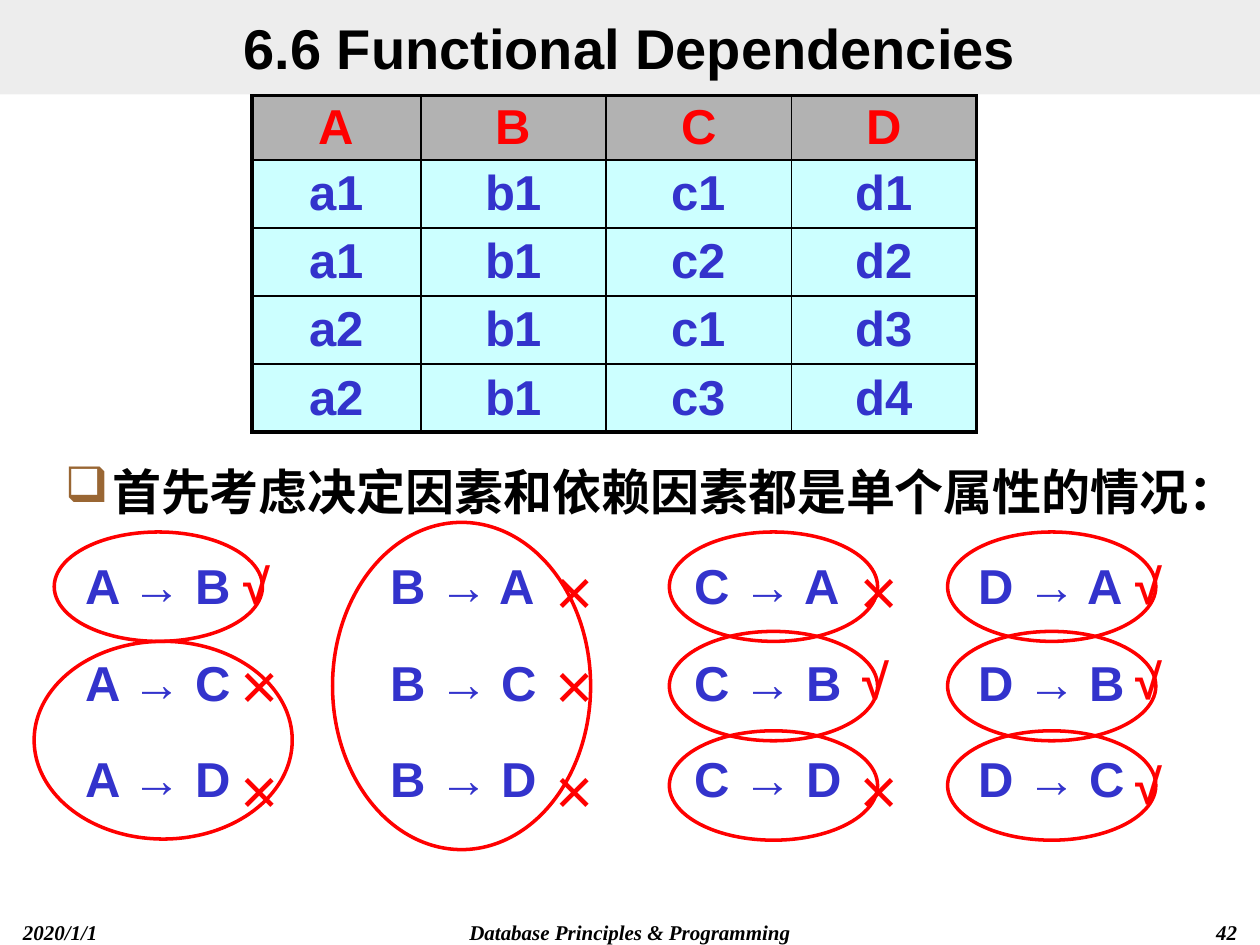
import pptx
import pptx.dml.color
import pptx.enum.shapes
import pptx.enum.text
import pptx.oxml
import pptx.oxml.ns
import pptx.util

Pt = pptx.util.Pt
ALIGN = pptx.enum.text.PP_ALIGN
MIDDLE = pptx.enum.text.MSO_ANCHOR.MIDDLE
SHAPES = pptx.enum.shapes.MSO_SHAPE
NAMESPACE = pptx.oxml.ns.nsdecls("a")
COLORS = {
    "black": "000000",
    "white": "FFFFFF",
    "band": "DDDDDD",
    "header": "B2B2B2",
    "cell": "CCFFFF",
    "blue": "3333CC",
    "red": "FF0000",
    "bullet": "996633",
}


def color(name):
    return pptx.dml.color.RGBColor.from_string(COLORS[name])


class SlideBuilder:
    def __init__(self, presentation):
        self.slide = presentation.slides.add_slide(presentation.slide_layouts[5])
        self.sans = "Arial"
        self.serif = "Times New Roman"

    def fill(self, item, name):
        item.fill.solid()
        item.fill.fore_color.rgb = color(name)

    def add_text(self, paragraph, text, size, color_name, align=ALIGN.LEFT, font=None, italic=False):
        paragraph.alignment = align
        run = paragraph.add_run()
        run.text = text
        run.font.name = font or self.sans
        run.font.size = Pt(size)
        run.font.bold = True
        run.font.italic = italic
        run.font.color.rgb = color(color_name)

    def title(self, text, left, top, width, height):
        shape = self.slide.shapes.title
        shape.left, shape.top, shape.width, shape.height = map(Pt, (left, top, width, height))
        self.fill(shape, "band")
        tint = shape._element.spPr.find(".//" + pptx.oxml.ns.qn("a:srgbClr"))
        tint.append(pptx.oxml.parse_xml(f'<a:alpha {NAMESPACE} val="50000"/>'))
        frame = shape.text_frame
        frame.auto_size = pptx.enum.text.MSO_AUTO_SIZE.NONE
        frame.vertical_anchor = MIDDLE
        frame.margin_top = frame.margin_bottom = 0
        self.add_text(frame.paragraphs[0], text, 32, "black", ALIGN.CENTER)

    def text(self, text, left, top, width, height, size, color_name, **style):
        shape = self.slide.shapes.add_textbox(*map(Pt, (left, top, width, height)))
        shape.text_frame.word_wrap = True
        paragraph = shape.text_frame.paragraphs[0]
        self.add_text(paragraph, text, size, color_name, **style)
        return paragraph

    def bullet(self, text, left, top, width, height):
        paragraph = self.text(text, left, top, width, height, 28, "black")
        properties = paragraph._p.get_or_add_pPr()
        properties.set("marL", str(Pt(27)))
        properties.set("indent", str(-Pt(27)))
        for element in (
            f'<a:buClr {NAMESPACE}><a:srgbClr val="{COLORS["bullet"]}"/></a:buClr>',
            f'<a:buChar {NAMESPACE} char="❑"/>',
        ):
            properties.append(pptx.oxml.parse_xml(element))

    def border(self, cell, side, width):
        cell._tc.get_or_add_tcPr().append(pptx.oxml.parse_xml(
            f'<a:ln{side} {NAMESPACE} w="{Pt(width)}"><a:solidFill>'
            f'<a:srgbClr val="{COLORS["black"]}"/></a:solidFill></a:ln{side}>'
        ))

    def table(self, rows, left, top, column_widths, row_heights):
        size = sum(column_widths), sum(row_heights)
        table = self.slide.shapes.add_table(
            len(rows), len(rows[0]), *map(Pt, (left, top, *size))
        ).table
        table.first_row = table.horz_banding = False
        for column, width in zip(table.columns, column_widths):
            column.width = Pt(width)
        for row, height in zip(table.rows, row_heights):
            row.height = Pt(height)
        last_row, last_column = len(rows) - 1, len(rows[0]) - 1
        for i, values in enumerate(rows):
            for j, value in enumerate(values):
                cell = table.cell(i, j)
                outer = {"L": j == 0, "R": j == last_column, "T": i == 0, "B": i == last_row}
                for side, is_outer in outer.items():
                    self.border(cell, side, 2.25 if is_outer else 1)
                self.fill(cell, "cell" if i else "header")
                cell.vertical_anchor = MIDDLE
                cell.margin_top = cell.margin_bottom = 0
                self.add_text(cell.text_frame.paragraphs[0], value, 28,
                              "blue" if i else "red", ALIGN.CENTER)

    def shape(self, kind, left, top, width, height):
        shape = self.slide.shapes.add_shape(kind, *map(Pt, (left, top, width, height)))
        shape.shadow.inherit = False
        return shape

    def dependencies(self, lines, left, top, width, height):
        shape = self.shape(SHAPES.RECTANGLE, left, top, width, height)
        self.fill(shape, "white")
        shape.line.fill.background()
        frame = shape.text_frame
        frame.word_wrap = True
        frame.vertical_anchor = pptx.enum.text.MSO_ANCHOR.TOP
        for index, line in enumerate(lines):
            paragraph = frame.add_paragraph() if index else frame.paragraphs[0]
            if index:
                paragraph.space_before = Pt(21.5)
            self.add_text(paragraph, line, 28, "blue")

    def mark(self, holds, left, top):
        if holds:
            self.text("√", left, top, 48, 48, 28, "red")
        else:
            self.text("☓", left, top + 6, 48, 42, 24, "red", font=self.serif)

    def ellipse(self, left, top, width, height):
        shape = self.shape(SHAPES.OVAL, left, top, width, height)
        shape.fill.background()
        shape.line.color.rgb = color("red")
        shape.line.width = Pt(2)


def main():
    presentation = pptx.Presentation()
    presentation.slide_width, presentation.slide_height = Pt(720), Pt(540)
    builder = SlideBuilder(presentation)

    builder.title("6.6 Functional Dependencies", 0, 0, 720, 54)
    for text, left, width, align in (
        ("2020/1/1", 6, 150, ALIGN.LEFT),
        ("Database Principles & Programming", 204, 312, ALIGN.CENTER),
        ("42", 564, 150, ALIGN.RIGHT),
    ):
        builder.text(text, left, 522, width, 18, 12, "black",
                     align=align, font=builder.serif, italic=True)
    builder.bullet("首先考虑决定因素和依赖因素都是单个属性的情况：", 30, 260, 690, 48)

    attributes = "ABCD"
    rows = [
        attributes,
        ("a1", "b1", "c1", "d1"),
        ("a1", "b1", "c2", "d2"),
        ("a2", "b1", "c1", "d3"),
        ("a2", "b1", "c3", "d4"),
    ]
    builder.table(rows, 144, 54.7, [96.6] + [105.8] * 3, [36.6] + [38.9] * 4)

    columns = (
        (42, 150, 156, 132, (True, False, False)),
        (216, 144, 174, 312, (False, False, False)),
        (390, 138, 174, 486, (False, True, False)),
        (552, 144, 174, 642, (True, True, True)),
    )
    for source, (left, width, height, _, _) in zip(attributes, columns):
        lines = [f"{source} → {target}" for target in attributes if target != source]
        builder.dependencies(lines, left, 314, width, height)
    for _, _, _, mark_left, results in columns:
        for top, holds in zip((314, 368, 428), results):
            builder.mark(holds, mark_left, top)

    small_tops = [304 + 56.8 * row for row in range(3)]
    builder.ellipse(31, small_tops[0], 119, 62.5)
    builder.ellipse(19.5, 366.5, 147.5, 113)
    builder.ellipse(190, 298.5, 147.5, 187)
    for left in (382.5, 541.5):
        for top in small_tops:
            builder.ellipse(left, top, 119, 62.5)

    presentation.save("out.pptx")


if __name__ == "__main__":
    main()
